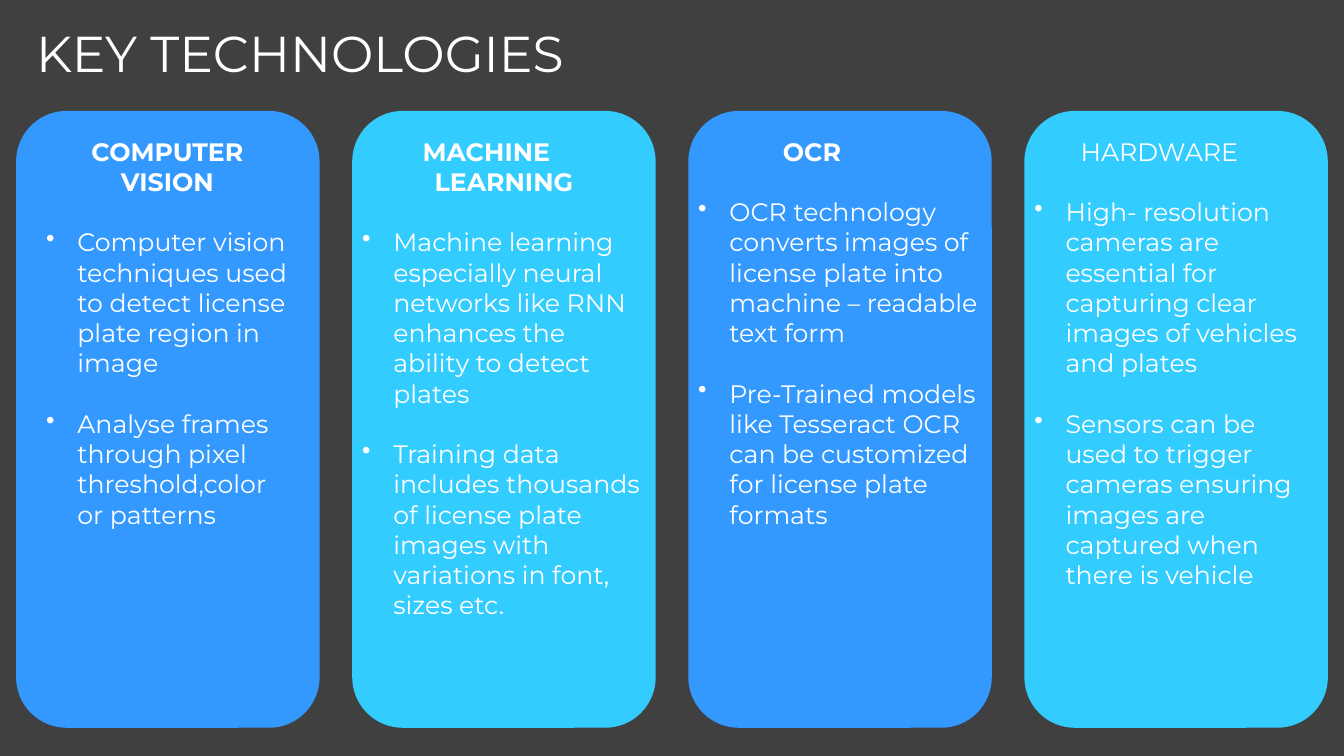
from dataclasses import dataclass

from lxml.etree import SubElement
from pptx import Presentation
from pptx.dml.color import RGBColor
from pptx.enum.shapes import MSO_SHAPE as Shape
from pptx.enum.text import MSO_ANCHOR as Anchor, PP_ALIGN as Align
from pptx.oxml.ns import qn
from pptx.util import Inches, Pt

COLORS = {"background": "404040", "blue": "3399FF", "cyan": "33CCFF",
          "text": "FFFFFF", "shadow": "000000"}
FONT = "Montserrat"
CARD_LEFT, CARD_TOP, CARD_WIDTH, CARD_HEIGHT = 0.16, 1.1, 3.01, 6.12
CARD_PITCH = 10 / 3
TEXT_TOP = 1.3
BULLET_INDENT = 0.31


@dataclass
class Card:
    color: str
    heading: str
    bullets: tuple[str, str]
    text_inset: float = 0
    text_width: float = CARD_WIDTH
    text_height: float = 5.31
    heading_align: Align = Align.LEFT
    heading_margin: float = 0
    heading_hang: float = 0
    heading_strong: bool = True


CARDS = [
    Card("blue", "COMPUTER VISION",
         ("Computer vision techniques used to detect license plate region in image",
          "Analyse frames through pixel threshold,color or patterns"),
         text_inset=0.2, text_width=2.6, heading_align=Align.CENTER),
    Card("cyan", "MACHINE\vLEARNING",
         ("Machine learning especially neural networks like RNN enhances the "
          "ability to detect plates",
          "Training data includes thousands of license plate images with "
          "variations in font, sizes etc."),
         text_width=3.03, text_height=5.63, heading_margin=0.72, heading_hang=0.12),
    Card("blue", "OCR",
         ("OCR technology converts images of license plate into machine – "
          "readable text form",
          "Pre-Trained models like Tesseract OCR can be customized for license "
          "plate formats"),
         heading_margin=0.84),
    Card("cyan", "HARDWARE",
         ("High- resolution cameras are essential for capturing clear images of "
          "vehicles and plates",
          "Sensors can be used to trigger cameras ensuring images are captured "
          "when there is vehicle"),
         text_height=5.63, heading_margin=0.46, heading_strong=False),
]


def rgb(name: str) -> RGBColor:
    return RGBColor.from_string(COLORS[name])


def set_font(p, size: float, bold: bool = False) -> None:
    p.font.name = FONT
    p.font.size = Pt(size)
    p.font.bold = bold
    p.font.color.rgb = rgb("text")


def set_indent(p, margin: float, hang: float) -> None:
    """Set the left margin and how far the first line hangs out of it."""
    pPr = p._p.get_or_add_pPr()
    pPr.set("marL", str(Inches(margin)))
    pPr.set("indent", str(-Inches(hang)))


def add_bullet(p) -> None:
    set_indent(p, BULLET_INDENT, BULLET_INDENT)
    bullet = p._p.get_or_add_pPr().makeelement(qn("a:buChar"), {"char": "•"})
    p._p.pPr.insert_element_before(bullet, "a:tabLst", "a:defRPr", "a:extLst")


def add_text_shadow(p) -> None:
    for r in p.runs:
        effects = SubElement(r._r.get_or_add_rPr(), qn("a:effectLst"))
        shadow = SubElement(effects, qn("a:outerShdw"), blurRad=str(Pt(3)),
                            dist=str(Pt(3)), dir="2700000", algn="tl")
        color = SubElement(shadow, qn("a:srgbClr"), val=COLORS["shadow"])
        SubElement(color, qn("a:alpha"), val="43000")


def add_title(s, text: str) -> None:
    tf = s.shapes.add_textbox(Inches(0.26), Inches(-0.17),
                              Inches(9.73), Inches(1.45)).text_frame
    tf.word_wrap = True
    tf.vertical_anchor = Anchor.MIDDLE
    p = tf.paragraphs[0]
    p.text = text
    p.line_spacing = 0.9
    set_font(p, 36)


def add_panel(s, left: float, color: str) -> None:
    sp = s.shapes.add_shape(Shape.ROUNDED_RECTANGLE, Inches(left), Inches(CARD_TOP),
                            Inches(CARD_WIDTH), Inches(CARD_HEIGHT))
    sp.shadow.inherit = False
    sp.fill.solid()
    sp.fill.fore_color.rgb = rgb(color)
    sp.line.fill.background()


def add_card_text(s, left: float, card: Card) -> None:
    tf = s.shapes.add_textbox(Inches(left + card.text_inset), Inches(TEXT_TOP),
                              Inches(card.text_width),
                              Inches(card.text_height)).text_frame
    tf.word_wrap = True
    p = tf.paragraphs[0]
    p.text = card.heading
    p.alignment = card.heading_align
    set_indent(p, card.heading_margin, card.heading_hang)
    set_font(p, 18, card.heading_strong)
    if card.heading_strong:
        add_text_shadow(p)
    for bullet in card.bullets:
        p = tf.add_paragraph()
        p.text = bullet
        p.space_before = Pt(21.6)
        set_font(p, 18)
        add_bullet(p)
        add_text_shadow(p)


def main() -> None:
    prs = Presentation()
    prs.slide_width, prs.slide_height = Inches(13.33), Inches(7.5)
    s = prs.slides.add_slide(prs.slide_layouts[6])
    s.background.fill.solid()
    s.background.fill.fore_color.rgb = rgb("background")
    add_title(s, "KEY TECHNOLOGIES")
    for i, card in enumerate(CARDS):
        left = CARD_LEFT + i * CARD_PITCH
        add_panel(s, left, card.color)
        add_card_text(s, left, card)
    prs.save("out.pptx")


if __name__ == "__main__":
    main()
